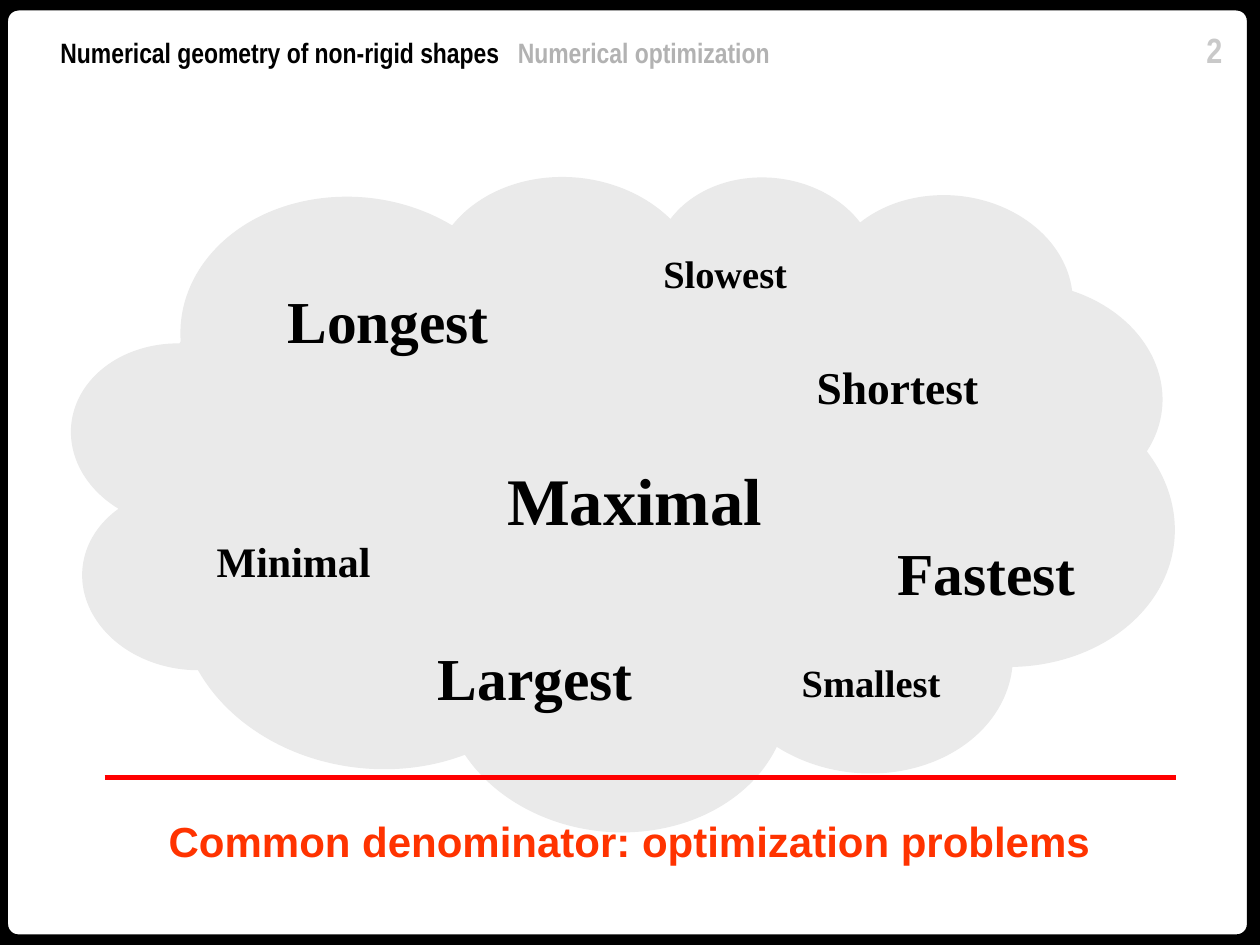
from collections import namedtuple

from lxml.etree import SubElement
from pptx import Presentation
from pptx.dml.color import RGBColor
from pptx.enum.shapes import MSO_CONNECTOR as Connector, MSO_SHAPE as Shape
from pptx.enum.text import MSO_AUTO_SIZE as AutoSize, PP_ALIGN as Align
from pptx.oxml.ns import qn
from pptx.util import Cm, Pt

BLACK = RGBColor(0x00, 0x00, 0x00)
CLOUD_GREY = RGBColor(0xEA, 0xEA, 0xEA)
SECTION_GREY = RGBColor(0xB2, 0xB2, 0xB2)
NUMBER_GREY = RGBColor(0xC9, 0xC9, 0xC9)
RULE_RED = RGBColor(0xFF, 0x00, 0x00)
MESSAGE_RED = RGBColor(0xFF, 0x33, 0x00)

Box = namedtuple("Box", "left top width height")
Word = namedtuple("Word", "text size left top width")

WORDS = [
    Word("Longest", 34, 3.28, 1.6, 6.35),
    Word("Shortest", 26, 13.23, 3.28, 6.99),
    Word("Largest", 34, 6.88, 8.79, 5.08),
    Word("Smallest", 22, 12.8, 9.42, 6.78),
    Word("Minimal", 24, 2.01, 6.88, 5.08),
    Word("Maximal", 38, 8.15, 5.05, 6.55),
    Word("Fastest", 34, 15.98, 6.68, 5.08),
    Word("Slowest", 22, 9.86, 1.17, 6.78),
]


def to_cm(box):
    """Return the four measures of a box as lengths."""
    return [Cm(value) for value in box]


def add_text(page, box, spans, font_name, size, align=Align.LEFT, spacing=1.0, tab=None):
    """Add one bold paragraph made of (text, colour) spans."""
    frame = page.shapes.add_textbox(*to_cm(box)).text_frame
    frame.word_wrap = True
    frame.auto_size = AutoSize.SHAPE_TO_FIT_TEXT
    para = frame.paragraphs[0]
    para.alignment = align
    para.line_spacing = spacing
    if tab:
        stops = SubElement(para._p.get_or_add_pPr(), qn("a:tabLst"))
        SubElement(stops, qn("a:tab"), pos=str(Cm(tab)), algn="l")
    para.font.name = font_name
    para.font.size = Pt(size)
    para.font.bold = True
    for text, colour in spans:
        span = para.add_run()
        span.text = text
        span.font.color.rgb = colour


def add_label(page, left, top, width, text, font_name, size, colour):
    """Add a centred line whose box height follows its text size."""
    box = Box(left, top, width, 0.25 + 0.0635 * size)
    add_text(page, box, [(text, colour)], font_name, size, Align.CENTER, 1.5)


def add_frame(page, box):
    """Draw the rounded black border of the page."""
    border = page.shapes.add_shape(Shape.ROUNDED_RECTANGLE, *to_cm(box))
    border.shadow.inherit = False
    border.adjustments[0] = 0.022
    border.fill.background()
    border.line.color.rgb = BLACK
    border.line.width = Pt(12)


def add_header(page, box):
    """Write the course and section names, and the page number at the right."""
    names = [("Numerical geometry of non-rigid shapes\t", BLACK),
             ("Numerical optimization", SECTION_GREY)]
    add_text(page, Box(box.left, box.top + 0.13, 14.8, 0.94), names,
             "Arial Narrow", 16, tab=9.22)
    number_width = 1.8
    add_text(page, Box(box.left + box.width - number_width, box.top, number_width, 1.12),
             [("2", NUMBER_GREY)], "Arial Narrow", 20, Align.RIGHT)


def add_word_cloud(page, box):
    """Draw the cloud and scatter the superlatives over it."""
    cloud = page.shapes.add_shape(Shape.CLOUD_CALLOUT, *to_cm(box))
    cloud.shadow.inherit = False
    cloud.rotation = 5.5
    cloud.adjustments[0] = -0.134
    cloud.adjustments[1] = -0.004
    cloud.fill.solid()
    cloud.fill.fore_color.rgb = CLOUD_GREY
    cloud.line.fill.background()
    for word in WORDS:
        add_label(page, box.left + word.left, box.top + word.top, word.width,
                  word.text, "Times New Roman", word.size, BLACK)


def add_conclusion(page, box):
    """Draw the red rule with the closing message under it."""
    rule = page.shapes.add_connector(
        Connector.STRAIGHT, Cm(box.left), Cm(box.top),
        Cm(box.left + box.width), Cm(box.top))
    SubElement(rule._element.spPr, qn("a:effectLst"))
    rule.line.color.rgb = RULE_RED
    rule.line.width = Pt(3)
    add_label(page, box.left, box.top + 0.13, box.width - 0.43,
              "Common denominator: optimization problems", "Arial", 24, MESSAGE_RED)


def main():
    """Build the page and save the deck."""
    deck = Presentation()
    deck.slide_width, deck.slide_height = Cm(25.4), Cm(19.05)
    page = deck.slides.add_slide(deck.slide_layouts[6])
    add_frame(page, Box(-0.05, 0, 25.4, 19.05))
    add_header(page, Box(0.97, 0.46, 23.92, 1.12))
    add_word_cloud(page, Box(1.37, 3.28, 22.33, 13.44))
    add_conclusion(page, Box(2.11, 15.67, 21.59, 1.91))
    deck.save("out.pptx")


if __name__ == "__main__":
    main()
